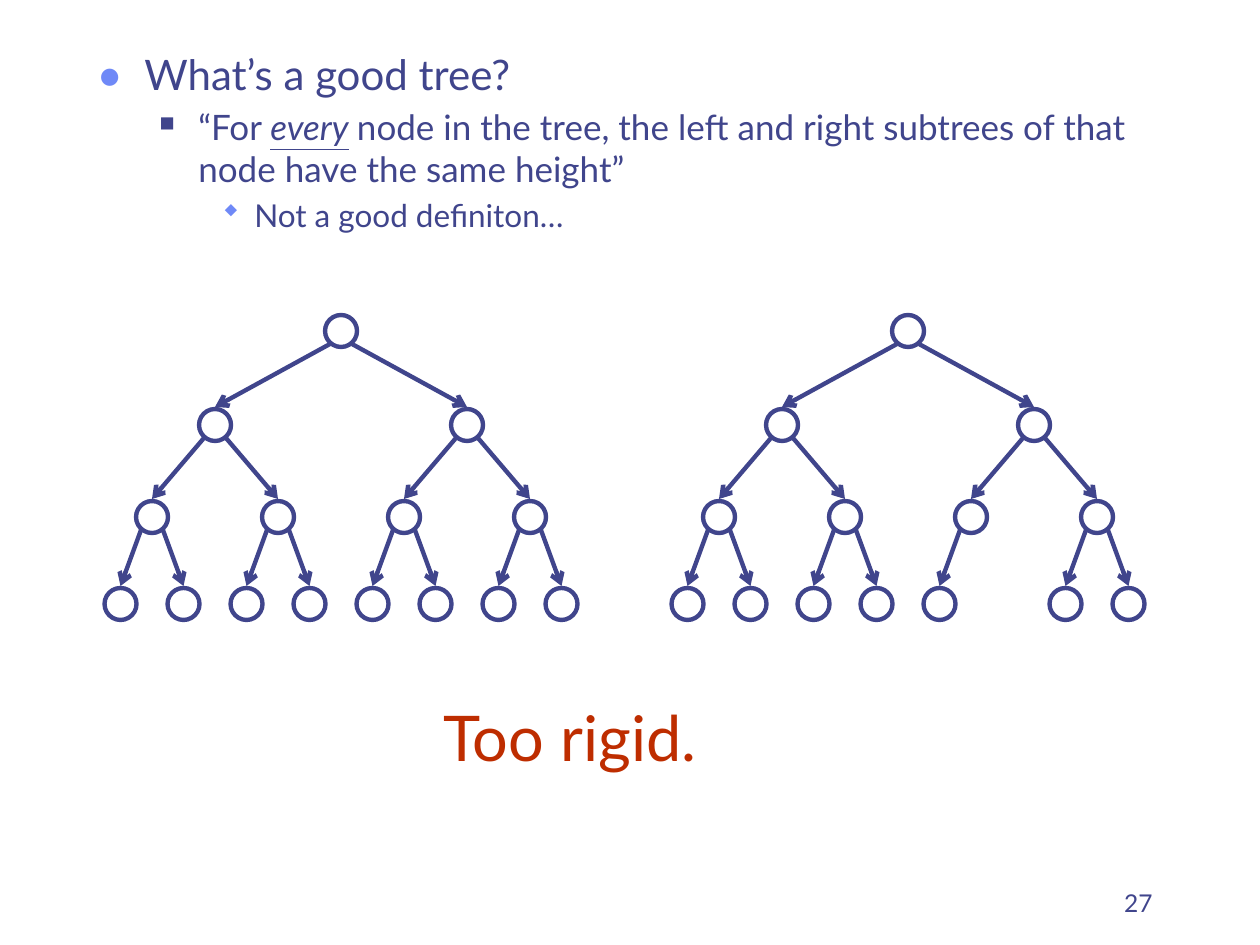
"""Build a slide on perfectly balanced binary trees as a definition of a good tree."""
from lxml import etree
from pptx import Presentation
from pptx import util as u
from pptx.dml.color import RGBColor
from pptx.enum import shapes, text
from pptx.oxml.ns import qn

INK, ACCENT, RED = "40458C", "6F89F7", "BE2D00"
FONT, SYMBOLS = "Lato", "Wingdings"
WIDTH, HEIGHT, PX_PER_INCH = 1260, 945, 126

EMPHASIS = {"italic": True, "underline": True}
BULLETS = [
    dict(level=0, size=24, before=0, margin=48, hang=48,
         mark="•", face=FONT, color=ACCENT, percent=110,
         runs=[("What’s a good tree?", {})]),
    dict(level=1, size=20, before=4, margin=102, hang=39,
         mark="n", face=SYMBOLS, color=INK, percent=60,
         runs=[("“For ", {}), ("every", EMPHASIS), (" ", {"italic": True}),
               ("node in the tree, the left and right subtrees of that "
                "node have the same height”", {})]),
    dict(level=2, size=18, before=3.6, margin=158, hang=32,
         mark="w", face=SYMBOLS, color=ACCENT, percent=95,
         runs=[("Not a good definiton…", {})]),
]
BODY_BOX = (84, 42, 1071, 220)

LABELS = [
    dict(words="27", box=(903, 861, 262, 63), size=14, color=INK, align=text.PP_ALIGN.RIGHT,
         frame={"word_wrap": True, "vertical_anchor": text.MSO_ANCHOR.BOTTOM}),
    dict(words="Too rigid.", box=(431, 692, 290, 88), size=36, color=RED, align=text.PP_ALIGN.LEFT,
         frame={"word_wrap": False, "auto_size": text.MSO_AUTO_SIZE.SHAPE_TO_FIT_TEXT}),
]

TREES = [
    dict(root=908, missing={(3, 5)}),
    dict(root=341, missing=set()),
]
LEVELS = (331, 425, 517, 604)
SPAN, RADIUS = 504, 16
START_DX, START_DY, END_GAP = 11, 13, 18


def px(n):
    return u.Emu(round(n * u.Inches(1) / PX_PER_INCH))


def rgb(value):
    return RGBColor.from_string(value)


def assign(target, values):
    for name, value in values.items():
        setattr(target, name, value)


def set_font(font, size, color):
    assign(font, {"name": FONT, "size": u.Pt(size)})
    font.color.rgb = rgb(color)


def add_textbox(s, box):
    return s.shapes.add_textbox(*map(px, box)).text_frame


def add_bullet(p, item):
    pPr = p._p.get_or_add_pPr()
    pPr.set("marL", str(px(item["margin"])))
    pPr.set("indent", str(-px(item["hang"])))
    clr = etree.SubElement(pPr, qn("a:buClr"))
    etree.SubElement(clr, qn("a:srgbClr"), val=item["color"])
    etree.SubElement(pPr, qn("a:buSzPct"), val=str(item["percent"] * 1000))
    face = etree.SubElement(pPr, qn("a:buFont"), typeface=item["face"])
    if item["face"] == SYMBOLS:
        face.set("charset", "2")
    etree.SubElement(pPr, qn("a:buChar"), char=item["mark"])
    assign(p, {"level": item["level"], "space_before": u.Pt(item["before"])})


def add_body(s):
    tf = add_textbox(s, BODY_BOX)
    tf.word_wrap = True
    for i, item in enumerate(BULLETS):
        p = tf.add_paragraph() if i else tf.paragraphs[0]
        add_bullet(p, item)
        for words, style in item["runs"]:
            r = p.add_run()
            r.text = words
            set_font(r.font, item["size"], INK)
            assign(r.font, style)


def add_label(s, label):
    tf = add_textbox(s, label["box"])
    assign(tf, label["frame"])
    p = tf.paragraphs[0]
    p.alignment = label["align"]
    r = p.add_run()
    r.text = label["words"]
    set_font(r.font, label["size"], label["color"])


def set_line(line):
    line.color.rgb = rgb(INK)
    line.width = u.Pt(2.5)


def add_node(group, x, y):
    box = (x - RADIUS, y - RADIUS, 2 * RADIUS, 2 * RADIUS)
    sp = group.shapes.add_shape(shapes.MSO_SHAPE.OVAL, *map(px, box))
    sp.shadow.inherit = False
    sp.fill.background()
    set_line(sp.line)


def add_edge(group, parent, child):
    side = 1 if child[0] > parent[0] else -1
    ends = (parent[0] + side * START_DX, parent[1] + START_DY, child[0], child[1] - END_GAP)
    edge = group.shapes.add_connector(shapes.MSO_CONNECTOR.STRAIGHT, *map(px, ends))
    set_line(edge.line)
    etree.SubElement(edge.line._get_or_add_ln(), qn("a:tailEnd"), type="arrow")
    etree.SubElement(edge._element.spPr, qn("a:effectLst"))


def add_tree(s, root, missing):
    group = s.shapes.add_group_shape()

    def center(depth, i):
        return root - SPAN / 2 + SPAN / 2 ** depth * (i + 0.5), LEVELS[depth]

    for depth in range(len(LEVELS)):
        for i in range(2 ** depth):
            if (depth, i) in missing:
                continue
            add_node(group, *center(depth, i))
            if depth:
                add_edge(group, center(depth - 1, i // 2), center(depth, i))


def main():
    prs = Presentation()
    assign(prs, {"slide_width": px(WIDTH), "slide_height": px(HEIGHT)})
    s = prs.slides.add_slide(prs.slide_layouts[6])
    add_body(s)
    for tree in TREES:
        add_tree(s, **tree)
    for label in LABELS:
        add_label(s, label)
    prs.save("out.pptx")


if __name__ == "__main__":
    main()
